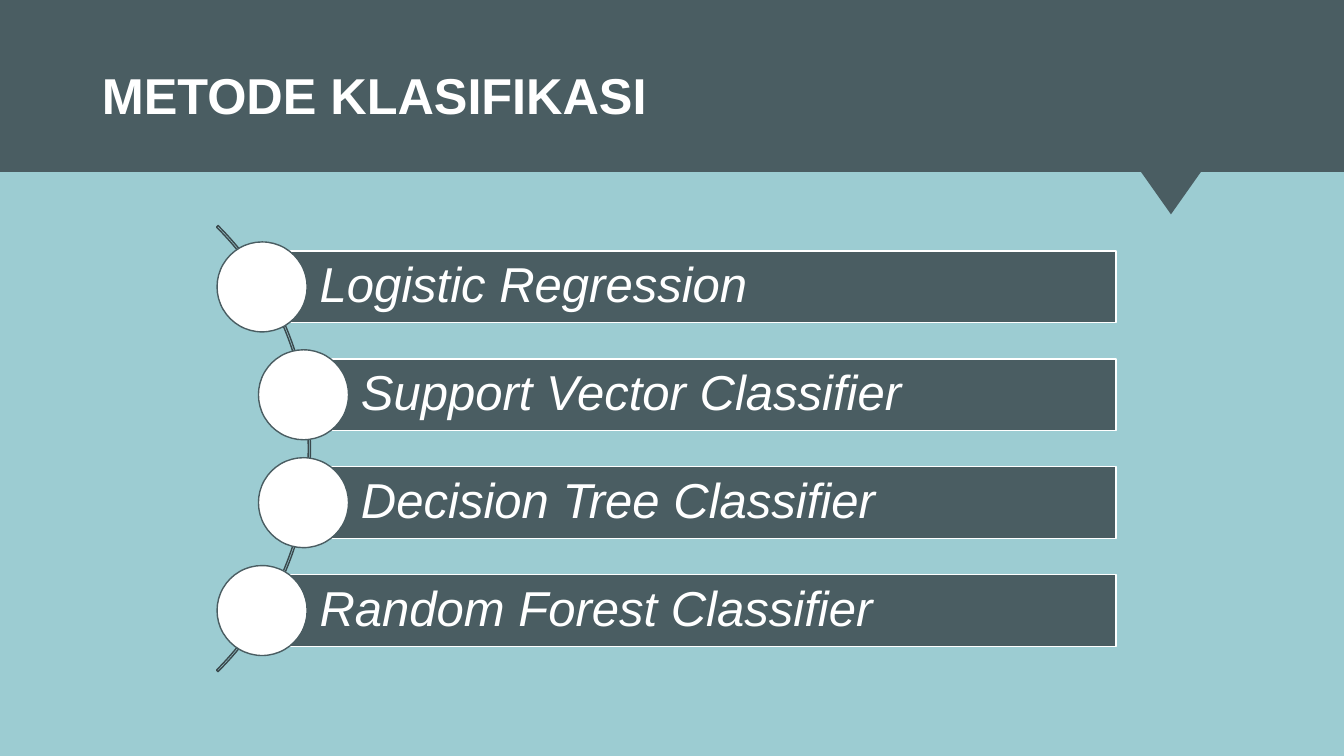
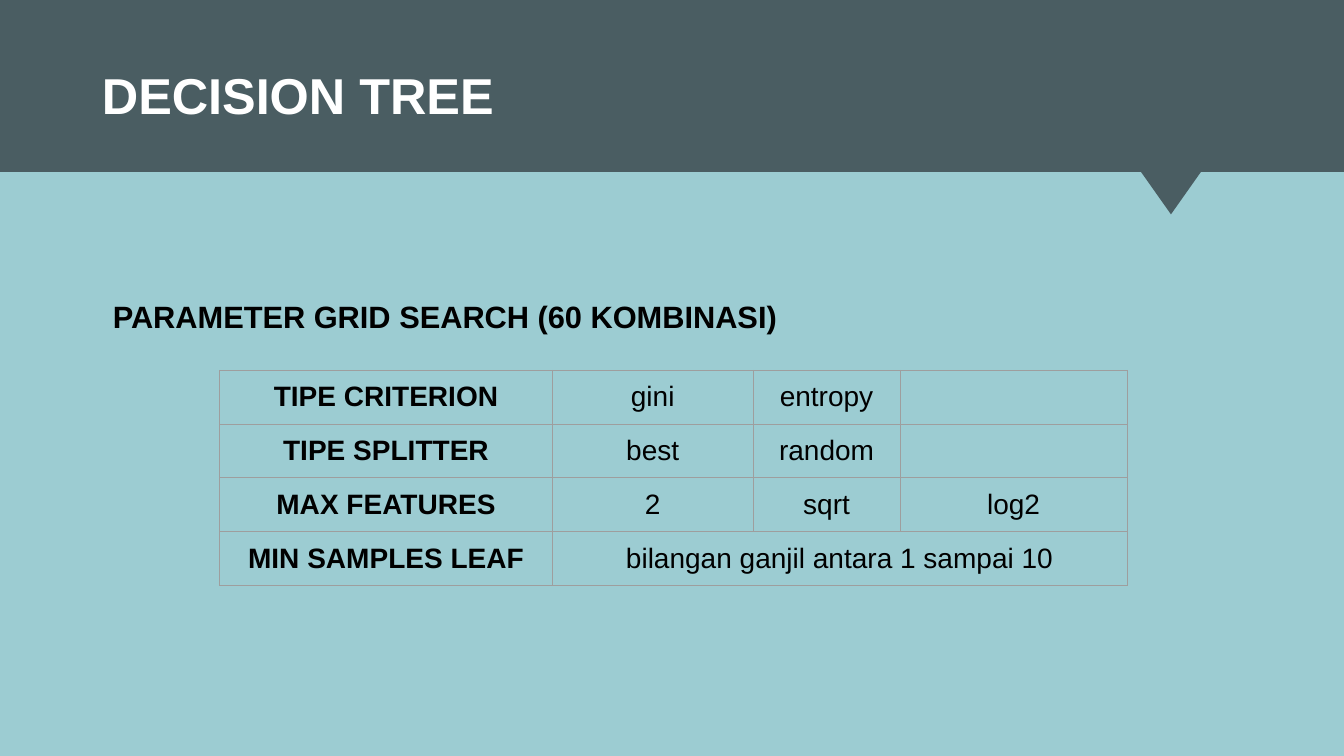
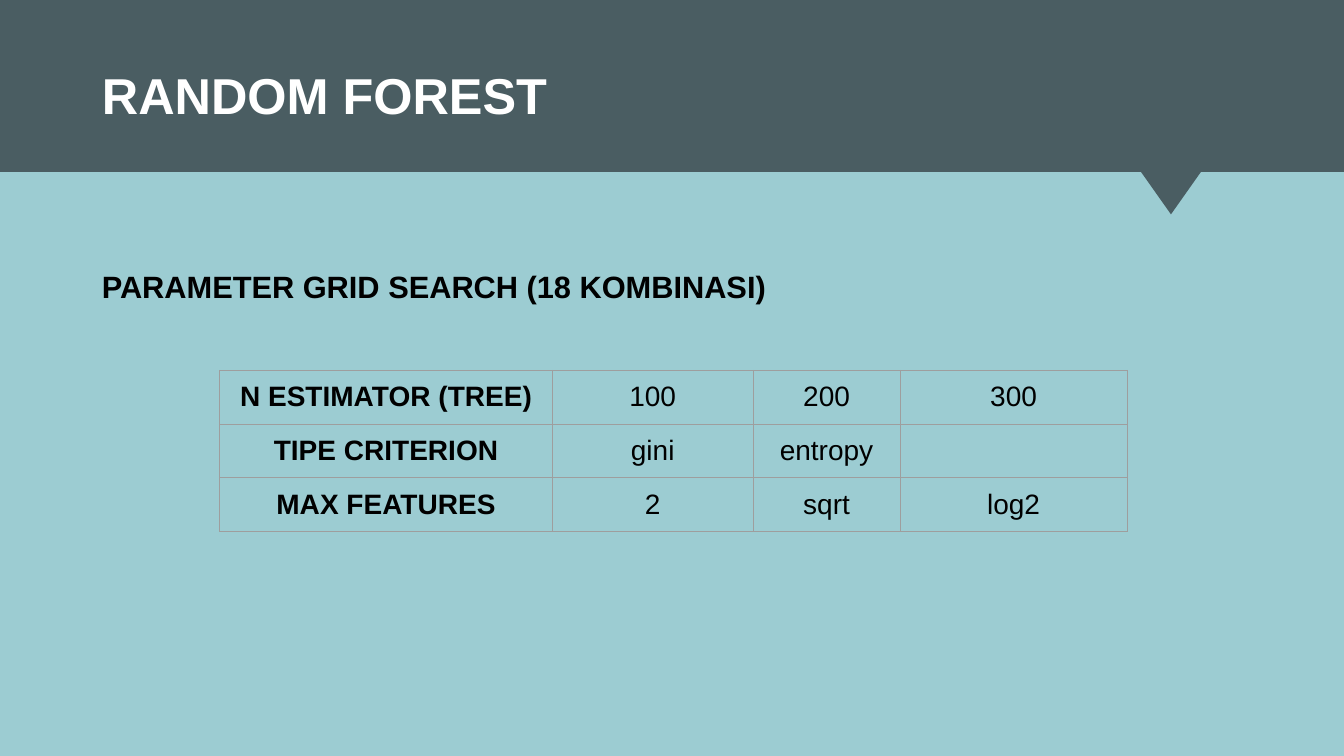
"""Build three slides on classification methods and their grid search parameters."""
import dataclasses
import typing

import lxml.etree
import pptx
import pptx.dml.color
import pptx.enum.shapes
import pptx.enum.text
import pptx.oxml.ns
import pptx.util

SLATE = pptx.dml.color.RGBColor(0x4A, 0x5D, 0x62)
ARC_LINE = pptx.dml.color.RGBColor(0x3A, 0x49, 0x4D)
SKY = pptx.dml.color.RGBColor(0x9C, 0xCC, 0xD2)
WHITE = pptx.dml.color.RGBColor(0xFF, 0xFF, 0xFF)
BLACK = pptx.dml.color.RGBColor(0, 0, 0)
BORDER = pptx.dml.color.RGBColor(0x9E, 0x9E, 0x9E)
FONT = "Arial"
SLIDE_WIDTH = pptx.util.Inches(13.33)
SLIDE_HEIGHT = pptx.util.Inches(7.5)
BAND_HEIGHT = 22.75
INSET = 0.75
SHAPES = pptx.enum.shapes.MSO_SHAPE
ALIGN = pptx.enum.text.PP_ALIGN
MIDDLE = pptx.enum.text.MSO_ANCHOR.MIDDLE


class Area(typing.NamedTuple):
    """Hold a rectangle in percent of the slide's width and height."""
    left: float
    top: float
    width: float
    height: float


@dataclasses.dataclass(frozen=True)
class TextStyle:
    """Describe the look of one paragraph."""
    size: float
    color: pptx.dml.color.RGBColor
    bold: bool = False
    italic: bool = False
    align: ALIGN = ALIGN.LEFT
    spacing: float = 1.0


@dataclasses.dataclass(frozen=True)
class Method:
    """Describe one bar of the method list."""
    name: str
    left: float


@dataclasses.dataclass(frozen=True)
class ParameterPage:
    """Describe a page with a heading and a parameter table."""
    title: str
    heading: str
    heading_left: float
    heading_top: float
    rows: tuple[tuple[str, ...], ...]


TITLE_STYLE = TextStyle(36, WHITE, bold=True)
BAR_STYLE = TextStyle(35, WHITE, italic=True, spacing=0.9)
HEADING_STYLE = TextStyle(22, BLACK, bold=True, align=ALIGN.JUSTIFY)
LABEL_STYLE = TextStyle(20, BLACK, bold=True, align=ALIGN.CENTER)
VALUE_STYLE = dataclasses.replace(LABEL_STYLE, bold=False)

TITLE_AREA = Area(6.83, 7.73, 65.33, 9.47)
POINTER_AREA = Area(84.9, BAND_HEIGHT, 4.45, 5.6)
ARC_AREA = Area(-23.85, 17.6, 46.95, 83.47)
BAR_RIGHT, BAR_TOP, BAR_PITCH, BAR_HEIGHT = 83.03, 33.2, 14.27, 9.5
BAR_INSET = 4.28
DOT_WIDTH, DOT_HEIGHT = 6.7, 11.9
OUTER_LEFT, INNER_LEFT = 19.5, 22.58
TABLE_LEFT, TABLE_TOP, ROW_HEIGHT = 16.35, 48.97, 6.8
COLUMN_WIDTHS = (24.75, 14.93, 10.95, 16.88)
HEADING_WIDTH, HEADING_HEIGHT = 61.58, 11.73

METHODS = (
    Method("Logistic Regression", OUTER_LEFT),
    Method("Support Vector Classifier", INNER_LEFT),
    Method("Decision Tree Classifier", INNER_LEFT),
    Method("Random Forest Classifier", OUTER_LEFT),
)
CRITERION_ROW = ("TIPE CRITERION", "gini", "entropy", "")
FEATURES_ROW = ("MAX FEATURES", "2", "sqrt", "log2")
PARAMETER_PAGES = (
    ParameterPage(
        "DECISION TREE", "PARAMETER GRID SEARCH (60 KOMBINASI)", 7.65, 36,
        (CRITERION_ROW,
         ("TIPE SPLITTER", "best", "random", ""),
         FEATURES_ROW,
         ("MIN SAMPLES LEAF", "bilangan ganjil antara 1 sampai 10")),
    ),
    ParameterPage(
        "RANDOM FOREST", "PARAMETER GRID SEARCH (18 KOMBINASI)", 6.83, 32,
        (("N ESTIMATOR (TREE)", "100", "200", "300"),
         CRITERION_ROW,
         FEATURES_ROW),
    ),
)


def across(percent: float) -> pptx.util.Emu:
    """Turn a percentage of the slide's width into a length."""
    return pptx.util.Emu(round(SLIDE_WIDTH * percent / 100))


def down(percent: float) -> pptx.util.Emu:
    """Turn a percentage of the slide's height into a length."""
    return pptx.util.Emu(round(SLIDE_HEIGHT * percent / 100))


def place(area: Area) -> tuple[pptx.util.Emu, ...]:
    """Turn an area into left, top, width and height."""
    return across(area.left), down(area.top), across(area.width), down(area.height)


def write(frame, text: str, style: TextStyle) -> None:
    """Write one styled paragraph into a text frame."""
    para = frame.paragraphs[0]
    para.text = text
    para.alignment = style.align
    para.line_spacing = style.spacing
    para.font.name = FONT
    para.font.size = pptx.util.Pt(style.size)
    para.font.bold = style.bold
    para.font.italic = style.italic
    para.font.color.rgb = style.color


def fit_frame(frame, left_inset: float = INSET) -> None:
    """Wrap a text frame, centre it vertically and set its side insets."""
    frame.word_wrap = True
    frame.vertical_anchor = MIDDLE
    frame.margin_left = across(left_inset)
    frame.margin_right = across(INSET)


def add_text(page, area: Area, text: str, style: TextStyle) -> None:
    """Add a text box."""
    box = page.shapes.add_textbox(*place(area))
    fit_frame(box.text_frame)
    write(box.text_frame, text, style)


def add_shape(page, kind: SHAPES, area: Area, fill=None, line=None):
    """Add a flat preset shape with an optional fill and outline."""
    shape = page.shapes.add_shape(kind, *place(area))
    shape.shadow.inherit = False
    if fill is None:
        shape.fill.background()
    else:
        shape.fill.solid()
        shape.fill.fore_color.rgb = fill
    if line is None:
        shape.line.fill.background()
    else:
        shape.line.color.rgb = line
        shape.line.width = pptx.util.Pt(1)
    return shape


def add_page(deck, title: str):
    """Add a page with the title band and its pointer."""
    page = deck.slides.add_slide(deck.slide_layouts[6])
    add_shape(page, SHAPES.RECTANGLE, Area(0, 0, 100, BAND_HEIGHT), SLATE)
    pointer = add_shape(page, SHAPES.ISOSCELES_TRIANGLE, POINTER_AREA, SLATE)
    pointer.rotation = 180
    add_text(page, TITLE_AREA, title, TITLE_STYLE)
    return page


def add_method(page, method: Method, top: float) -> None:
    """Add one method bar with the dot at its left end."""
    bar_area = Area(method.left, top, BAR_RIGHT - method.left, BAR_HEIGHT)
    bar = add_shape(page, SHAPES.RECTANGLE, bar_area, SLATE, WHITE)
    fit_frame(bar.text_frame, BAR_INSET)
    write(bar.text_frame, method.name, BAR_STYLE)
    dot_area = Area(method.left - DOT_WIDTH / 2, top + (BAR_HEIGHT - DOT_HEIGHT) / 2,
                    DOT_WIDTH, DOT_HEIGHT)
    add_shape(page, SHAPES.OVAL, dot_area, WHITE, SLATE)


def add_methods_page(deck) -> None:
    """Add the page that lists the methods along an arc."""
    page = add_page(deck, "METODE KLASIFIKASI")
    arc = add_shape(page, SHAPES.BLOCK_ARC, ARC_AREA, line=ARC_LINE)
    for index, value in enumerate((189, 27, 0.0035)):
        arc.adjustments[index] = value
    for index, method in enumerate(METHODS):
        add_method(page, method, BAR_TOP + index * BAR_PITCH)


def format_cell(cell) -> None:
    """Give a cell thin borders, no fill and even margins."""
    properties = cell._tc.get_or_add_tcPr()
    qualify = pptx.oxml.ns.qn
    for side in ("a:lnL", "a:lnR", "a:lnT", "a:lnB"):
        line = lxml.etree.SubElement(properties, qualify(side), w=str(pptx.util.Pt(0.75)))
        fill = lxml.etree.SubElement(line, qualify("a:solidFill"))
        lxml.etree.SubElement(fill, qualify("a:srgbClr"), val=str(BORDER))
    cell.fill.background()
    cell.vertical_anchor = MIDDLE
    cell.margin_left = cell.margin_right = across(INSET)
    cell.margin_top = cell.margin_bottom = across(INSET)


def add_parameter_table(page, rows: tuple[tuple[str, ...], ...]) -> None:
    """Add a parameter table; a short row's last cell spans the rest."""
    area = Area(TABLE_LEFT, TABLE_TOP, sum(COLUMN_WIDTHS), ROW_HEIGHT * len(rows))
    table = page.shapes.add_table(len(rows), len(COLUMN_WIDTHS), *place(area)).table
    table.first_row = table.horz_banding = False
    for column, width in zip(table.columns, COLUMN_WIDTHS):
        column.width = across(width)
    for row_index, texts in enumerate(rows):
        table.rows[row_index].height = down(ROW_HEIGHT)
        for cell in table.rows[row_index].cells:
            format_cell(cell)
        for column_index, text in enumerate(texts):
            if text:
                style = VALUE_STYLE if column_index else LABEL_STYLE
                write(table.cell(row_index, column_index).text_frame, text, style)
        if len(texts) < len(COLUMN_WIDTHS):
            last_cell = table.cell(row_index, len(COLUMN_WIDTHS) - 1)
            table.cell(row_index, len(texts) - 1).merge(last_cell)


def add_parameter_page(deck, content: ParameterPage) -> None:
    """Add a page with a heading above a parameter table."""
    page = add_page(deck, content.title)
    add_parameter_table(page, content.rows)
    heading_area = Area(content.heading_left, content.heading_top,
                        HEADING_WIDTH, HEADING_HEIGHT)
    add_text(page, heading_area, content.heading, HEADING_STYLE)


def main() -> None:
    """Build and save the deck."""
    deck = pptx.Presentation()
    deck.slide_width = SLIDE_WIDTH
    deck.slide_height = SLIDE_HEIGHT
    background = deck.slide_master.background.fill
    background.solid()
    background.fore_color.rgb = SKY
    add_methods_page(deck)
    for content in PARAMETER_PAGES:
        add_parameter_page(deck, content)
    deck.save("out.pptx")


if __name__ == "__main__":
    main()
